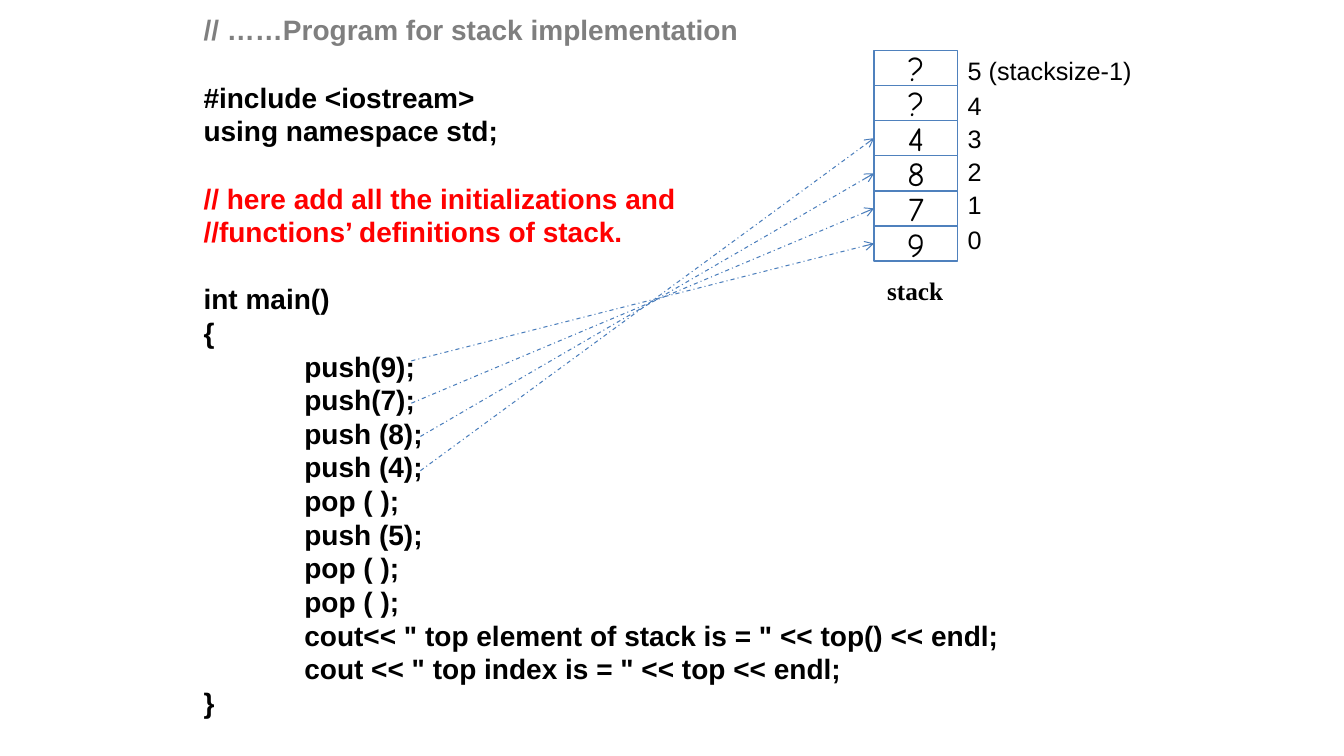
from dataclasses import dataclass

from lxml.etree import SubElement
from pptx import Presentation
from pptx.dml.color import RGBColor
from pptx.enum.dml import MSO_LINE
from pptx.enum.shapes import MSO_CONNECTOR, MSO_SHAPE
from pptx.enum.text import MSO_ANCHOR, MSO_AUTO_SIZE, PP_ALIGN
from pptx.oxml.ns import qn
from pptx.slide import Slide
from pptx.text.text import _Paragraph as Paragraph
from pptx.util import Inches, Pt

BLACK = RGBColor(0x00, 0x00, 0x00)
WHITE = RGBColor(0xFF, 0xFF, 0xFF)
GRAY = RGBColor(0x7F, 0x7F, 0x7F)
RED = RGBColor(0xFF, 0x00, 0x00)
CELL_BLUE = RGBColor(0x4F, 0x81, 0xBD)
ARROW_BLUE = RGBColor(0x4B, 0x7E, 0xBC)

CELL_LEFT, CELL_WIDTH = 8.67, 0.83
STACK_TOP, STACK_HEIGHT = 0.5, 2.09
LINE_HEIGHT = Pt(24)
CODE_INDENT = Inches(1)


@dataclass
class CodeBlock:
    lines: list[str]
    color: RGBColor = BLACK


@dataclass
class StackCell:
    value: str
    label: str
    label_top: float
    label_width: float = 0.34


@dataclass
class PushArrow:
    left: float
    top: float
    cell: int


CODE = [
    CodeBlock(["// ……Program for stack implementation"], GRAY),
    CodeBlock(["#include <iostream>", "using namespace std;"]),
    CodeBlock(["// here add all the initializations and",
               "//functions’ definitions of stack."], RED),
    CodeBlock(["int main()", "{",
               "\tpush(9);", "\tpush(7);", "\tpush (8);", "\tpush (4);",
               "\tpop ( );", "\tpush (5);", "\tpop ( );", "\tpop ( );",
               '\tcout<< " top element of stack is = " << top() << endl;',
               '\tcout << " top index is = " << top << endl;', "}"]),
]

CELLS = [
    StackCell("?", "5 (stacksize-1)", 0.5, 1.84),
    StackCell("?", "4", 0.85),
    StackCell("4", "3", 1.17),
    StackCell("8", "2", 1.5),
    StackCell("7", "1", 1.83),
    StackCell("9", "0", 2.18),
]
CELL_HEIGHT = STACK_HEIGHT / len(CELLS)

ARROWS = [
    PushArrow(4.08, 3.58, 5),
    PushArrow(4.08, 4, 4),
    PushArrow(4.17, 4.33, 3),
    PushArrow(4.17, 4.67, 2),
]


def format_runs(p: Paragraph, name: str, size: int, color: RGBColor, bold: bool = False) -> None:
    for r in p.runs:
        r.font.name = name
        r.font.size = Pt(size)
        r.font.bold = bold
        r.font.color.rgb = color


def add_tab_stop(p: Paragraph) -> None:
    tabs = SubElement(p._p.get_or_add_pPr(), qn("a:tabLst"))
    SubElement(tabs, qn("a:tab"), pos=str(CODE_INDENT), algn="l")


def add_code(slide: Slide) -> None:
    sp = slide.shapes.add_textbox(Inches(1.92), Inches(0.08), Inches(9.25), Inches(7.17))
    tf = sp.text_frame
    tf.word_wrap = True
    tf.text = "\n".join(line for block in CODE for line in block.lines)
    paragraphs = iter(tf.paragraphs)
    for i, block in enumerate(CODE):
        for j, line in enumerate(block.lines):
            p = next(paragraphs)
            p.line_spacing = LINE_HEIGHT
            if i and j == 0:
                p.space_before = LINE_HEIGHT
            if line.startswith("\t"):
                add_tab_stop(p)
            format_runs(p, "Arial", 20, block.color, bold=True)


def add_label(slide: Slide, text: str, left: float, top: float, width: float,
              font: str = "Arial", bold: bool = False) -> None:
    sp = slide.shapes.add_textbox(Inches(left), Inches(top), Inches(width), Inches(0.4))
    tf = sp.text_frame
    tf.word_wrap = False
    tf.auto_size = MSO_AUTO_SIZE.SHAPE_TO_FIT_TEXT
    tf.text = text
    format_runs(tf.paragraphs[0], font, 18, BLACK, bold)


def add_cell(slide: Slide, cell: StackCell, index: int) -> None:
    sp = slide.shapes.add_shape(
        MSO_SHAPE.RECTANGLE, Inches(CELL_LEFT), Inches(STACK_TOP + index * CELL_HEIGHT),
        Inches(CELL_WIDTH), Inches(CELL_HEIGHT))
    sp.shadow.inherit = False
    sp.fill.solid()
    sp.fill.fore_color.rgb = WHITE
    sp.line.color.rgb = CELL_BLUE
    sp.line.width = Pt(1)
    tf = sp.text_frame
    tf.word_wrap = False
    tf.vertical_anchor = MSO_ANCHOR.MIDDLE
    tf.text = cell.value
    p = tf.paragraphs[0]
    p.alignment = PP_ALIGN.CENTER
    format_runs(p, "Comic Neue", 24, BLACK)
    add_label(slide, cell.label, CELL_LEFT + CELL_WIDTH, cell.label_top, cell.label_width)


def add_arrow(slide: Slide, arrow: PushArrow) -> None:
    end_y = STACK_TOP + (arrow.cell + 0.5) * CELL_HEIGHT
    line = slide.shapes.add_connector(
        MSO_CONNECTOR.STRAIGHT, Inches(arrow.left), Inches(arrow.top),
        Inches(CELL_LEFT), Inches(end_y))
    line.line.color.rgb = ARROW_BLUE
    line.line.width = Pt(0.75)
    line.line.dash_style = MSO_LINE.DASH_DOT
    SubElement(line.line._get_or_add_ln(), qn("a:tailEnd"), type="arrow")
    SubElement(line._element.spPr, qn("a:effectLst"))


def main() -> None:
    prs = Presentation()
    prs.slide_width, prs.slide_height = Inches(13.33), Inches(7.5)
    slide = prs.slides.add_slide(prs.slide_layouts[6])
    add_code(slide)
    add_label(slide, "stack", 8.7, 2.68, 0.78, "Times New Roman", bold=True)
    for i, cell in enumerate(CELLS):
        add_cell(slide, cell, i)
    for arrow in ARROWS:
        add_arrow(slide, arrow)
    prs.save("out.pptx")


if __name__ == "__main__":
    main()
